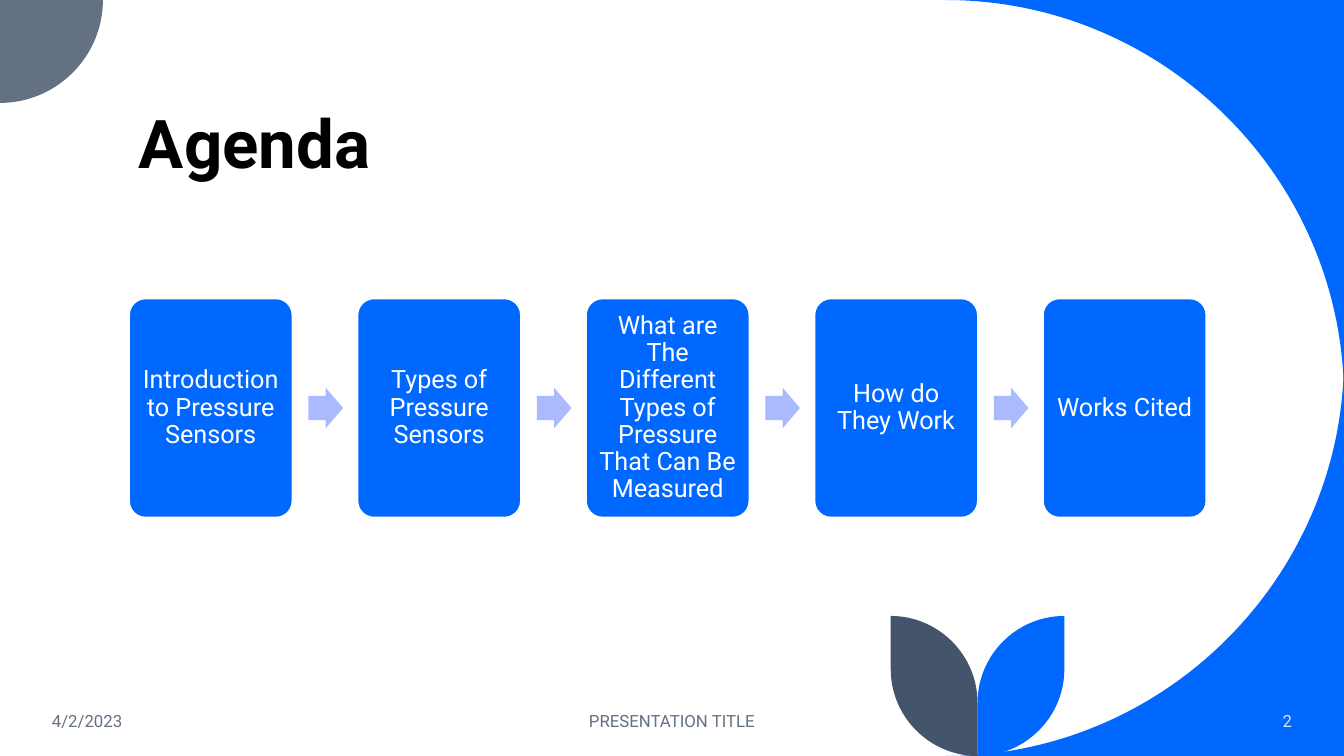
from dataclasses import dataclass

import pptx
import pptx.dml.color
import pptx.enum.shapes
import pptx.enum.text
import pptx.oxml.ns
import pptx.util

Pt = pptx.util.Pt
qn = pptx.oxml.ns.qn
Align = pptx.enum.text.PP_ALIGN
Anchor = pptx.enum.text.MSO_ANCHOR
Preset = pptx.enum.shapes.MSO_SHAPE
Point = tuple[float, float]
Segment = list[Point]

FONT = "Roboto"
BLUE, SLATE, NAVY = "0068FF", "637183", "44546A"
PERIWINKLE, WHITE, BLACK, MIST = "ABB9FF", "FFFFFF", "000000", "DAE5EF"
WIDTH, HEIGHT = 960, 540
QUARTER_ARC = 0.55


@dataclass
class Outline:
    start: Point
    segments: list[Segment]
    fill: str


@dataclass
class FooterItem:
    text: str
    left: float
    width: float
    align: Align
    color: str


def rgb(color: str) -> pptx.dml.color.RGBColor:
    return pptx.dml.color.RGBColor.from_string(color)


def toward(point: Point, bend: Point) -> Point:
    return (point[0] + (bend[0] - point[0]) * QUARTER_ARC,
            point[1] + (bend[1] - point[1]) * QUARTER_ARC)


def curve(begin: Point, bend: Point, end: Point) -> Segment:
    return [toward(begin, bend), toward(end, bend), end]


def corner(tip: Point, begin: Point, bend: Point, end: Point, fill: str) -> Outline:
    return Outline(tip, [[begin], curve(begin, bend, end)], fill)


def petal(outer_x: float, stem_x: float, fill: str) -> Outline:
    top, radius = 440, abs(stem_x - outer_x)
    tip, foot = (outer_x, top), (stem_x, HEIGHT)
    return Outline(tip, [
        curve(tip, (stem_x, top), (stem_x, top + radius)),
        [foot],
        curve(foot, (outer_x, HEIGHT), (outer_x, HEIGHT - radius)),
    ], fill)


def paint(shape, fill: str) -> None:
    shape.shadow.inherit = False
    shape.fill.solid()
    shape.fill.fore_color.rgb = rgb(fill)
    shape.line.fill.background()


def draw_outline(slide, outline: Outline) -> None:
    builder = slide.shapes.build_freeform(*map(Pt, outline.start))
    points = [(Pt(x), Pt(y)) for segment in outline.segments for x, y in segment]
    builder.add_line_segments(points, close=True)
    shape = builder.convert_to_shape()
    lines = iter(list(shape._element.iter(qn("a:lnTo"))))
    for segment in outline.segments:
        first, *others = [next(lines) for _ in segment]
        if others:
            first.tag = qn("a:cubicBezTo")
        for other in others:
            first.append(other[0])
            other.getparent().remove(other)
    paint(shape, outline.fill)


def write(frame, text: str, size: float, color: str, align: Align, bold: bool = False) -> None:
    frame.word_wrap = True
    paragraph = frame.paragraphs[0]
    paragraph.alignment = align
    run = paragraph.add_run()
    run.text = text
    run.font.name = FONT
    run.font.size = Pt(size)
    run.font.bold = bold
    run.font.color.rgb = rgb(color)


def draw_title(slide, text: str) -> None:
    title = slide.shapes.title
    title.left, title.top, title.width, title.height = Pt(92), Pt(30), Pt(770), Pt(104.5)
    title.text_frame.vertical_anchor = Anchor.BOTTOM
    write(title.text_frame, text, 48, BLACK, Align.LEFT, bold=True)
    title.text_frame.paragraphs[0].line_spacing = 0.9


def draw_step(slide, text: str, left: float) -> None:
    step = slide.shapes.add_shape(
        Preset.ROUNDED_RECTANGLE, Pt(left), Pt(213.3), Pt(116.5), Pt(156.3))
    step.adjustments[0] = 0.1
    paint(step, BLUE)
    step.line.color.rgb = rgb(WHITE)
    step.line.width = Pt(1)
    frame = step.text_frame
    frame.margin_left = frame.margin_right = frame.margin_top = frame.margin_bottom = Pt(5)
    frame.vertical_anchor = Anchor.MIDDLE
    write(frame, text, 18, WHITE, Align.CENTER)
    frame.paragraphs[0].line_spacing = 0.9


def draw_arrow(slide, left: float) -> None:
    arrow = slide.shapes.add_shape(Preset.RIGHT_ARROW, Pt(left), Pt(277), Pt(24.7), Pt(28.9))
    arrow.adjustments[0] = 0.6
    arrow.adjustments[1] = 0.5
    paint(arrow, PERIWINKLE)


def draw_footer_item(slide, item: FooterItem) -> None:
    box = slide.shapes.add_textbox(Pt(item.left), Pt(500.5), Pt(item.width), Pt(28.75))
    box.text_frame.vertical_anchor = Anchor.MIDDLE
    write(box.text_frame, item.text, 12, item.color, item.align)


def main() -> None:
    deck = pptx.Presentation()
    deck.slide_width, deck.slide_height = Pt(WIDTH), Pt(HEIGHT)
    slide = deck.slides.add_slide(deck.slide_layouts[5])

    sweep, disc, stem_x, petal_width = 284.5, 73.5, 698.25, 62
    top_right, bottom_right = (WIDTH, 0), (WIDTH, HEIGHT)
    outlines = [
        corner(top_right, (WIDTH - sweep, 0), top_right, (WIDTH, sweep), BLUE),
        corner(bottom_right, (WIDTH, HEIGHT - sweep), bottom_right,
               (WIDTH - sweep, HEIGHT), BLUE),
        corner((0, 0), (disc, 0), (disc, disc), (0, disc), SLATE),
        petal(stem_x + petal_width, stem_x, BLUE),
        petal(stem_x - petal_width, stem_x, NAVY),
    ]
    for outline in outlines:
        draw_outline(slide, outline)

    draw_title(slide, "Agenda")

    agenda = [
        "Introduction to Pressure Sensors",
        "Types of Pressure Sensors",
        "What are The Different Types of Pressure That Can Be Measured",
        "How do They Work",
        "Works Cited",
    ]
    first_left, pitch, arrow_offset = 92.3, 163.2, 128
    for index, topic in enumerate(agenda):
        left = first_left + index * pitch
        draw_step(slide, topic, left)
        if index < len(agenda) - 1:
            draw_arrow(slide, left + arrow_offset)

    footer = [
        FooterItem("4/2/2023", 30, 216, Align.LEFT, SLATE),
        FooterItem("PRESENTATION TITLE", 318, 324, Align.CENTER, SLATE),
        FooterItem("2", 799.5, 130.5, Align.RIGHT, MIST),
    ]
    for item in footer:
        draw_footer_item(slide, item)

    deck.save("out.pptx")


if __name__ == "__main__":
    main()
